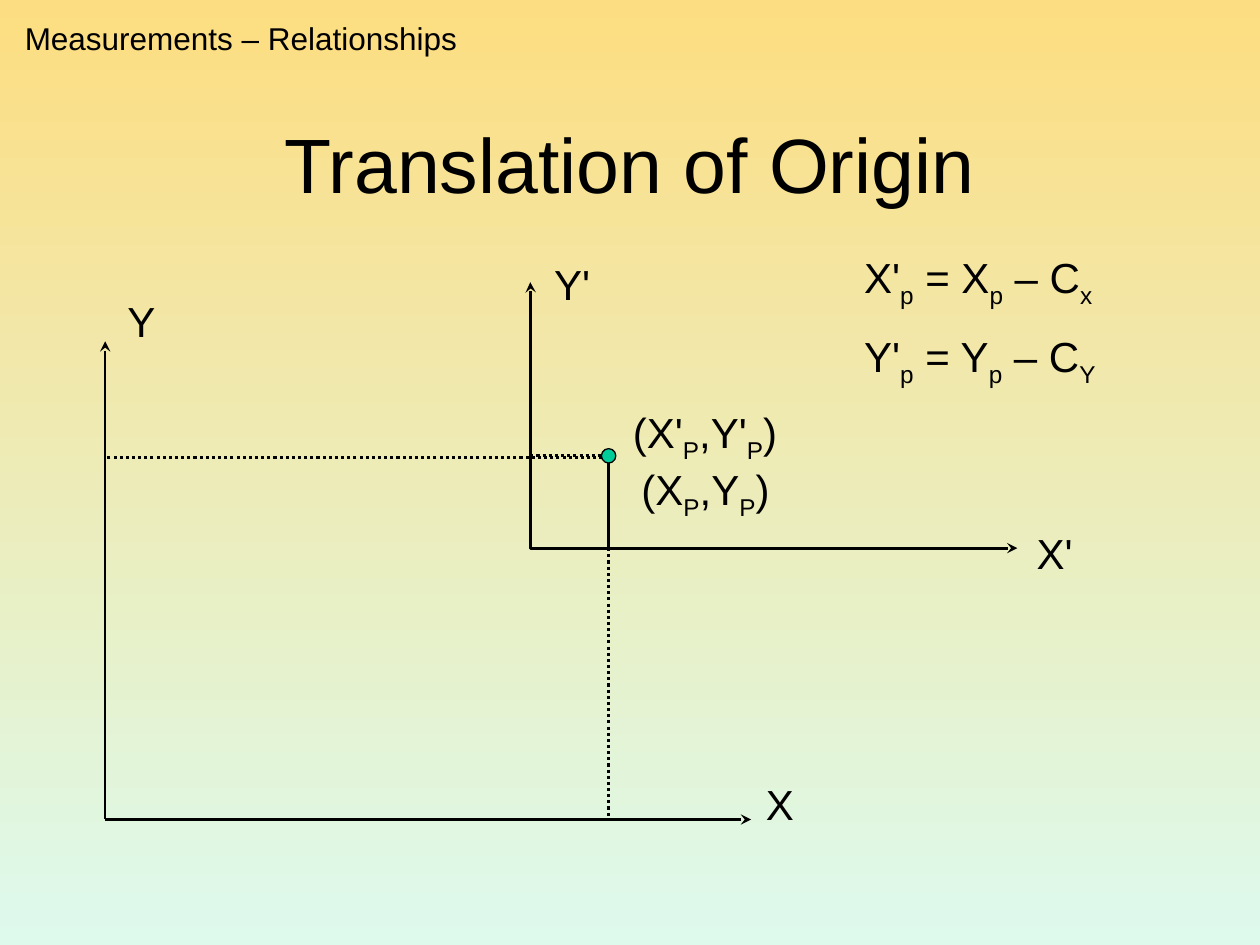
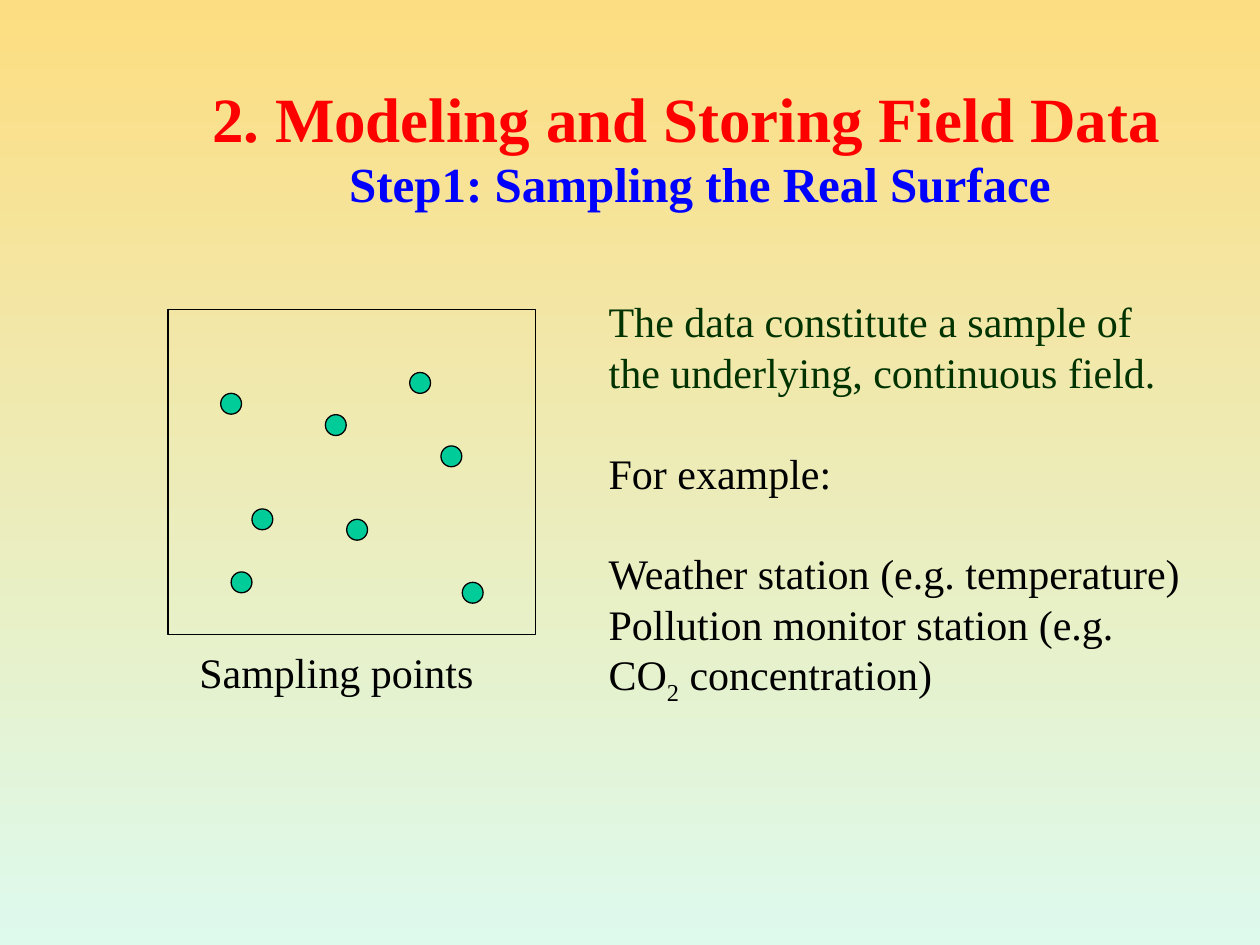
from lxml import etree
from pptx import Presentation
from pptx.dml.color import RGBColor
from pptx.enum.dml import MSO_LINE
from pptx.enum.shapes import MSO_CONNECTOR, MSO_SHAPE
from pptx.enum.text import MSO_ANCHOR, MSO_AUTO_SIZE, PP_ALIGN
from pptx.oxml.ns import qn
from pptx.util import Cm, Pt

STRAIGHT, ELBOW = MSO_CONNECTOR.STRAIGHT, MSO_CONNECTOR.ELBOW
OVAL, RECTANGLE = MSO_SHAPE.OVAL, MSO_SHAPE.RECTANGLE
DOTTED = MSO_LINE.ROUND_DOT
MIDDLE, TOP = MSO_ANCHOR.MIDDLE, MSO_ANCHOR.TOP
LEFT, CENTER = PP_ALIGN.LEFT, PP_ALIGN.CENTER
NO_FIT = MSO_AUTO_SIZE.NONE
SANS, SERIF = "Arial", "Times New Roman"
BLACK, RED, BLUE, DARK_GREEN, TEAL = "000000", "FF0000", "0000FF", "003300", "00CC99"
SKY_TOP, SKY_BOTTOM = "FDDD81", "DDFAED"
TITLE_ONLY = 5

ORIGIN, Y_END, X_END = (2.12, 16.52), (2.12, 6.88), (15.14, 16.52)
NEW_ORIGIN, NEW_Y_END, NEW_X_END = (10.69, 11.05), (10.69, 5.69), (20.51, 11.05)
POINT, POINT_SIZE = (12.27, 9.19), 0.29
GUIDES = [
    ((POINT[0], 9.22), (ORIGIN[0], 9.22)),
    (POINT, (POINT[0], ORIGIN[1])),
    ((NEW_ORIGIN[0], POINT[1]), POINT),
    ((POINT[0], NEW_ORIGIN[1]), (POINT[0], 9.27)),
]
AXIS_LABELS = [
    ("(X_P,Y_P)", (12.68, 9.22, 3.5, 1.42)),
    ("(X'_P,Y'_P)", (12.51, 8.08, 3.8, 1.42)),
    ("Y'", (10.92, 5.08, 1.6, 1.27)),
    ("X'", (20.65, 10.5, 1.6, 1.27)),
    ("X", (15.19, 15.57, 1.4, 1.27)),
    ("Y", (2.32, 5.83, 1.4, 1.27)),
    ("X'_p = X_p – C_x", (17.17, 4.95, 5.5, 1.42)),
    ("Y'_p = Y_p – C_Y", (17.17, 6.54, 5.5, 1.42)),
]

FIELD, SAMPLE_SIZE = (3.39, 6.24, 7.41, 6.55), 0.42
SAMPLES = [
    (4.45, 7.93), (5.08, 10.26), (8.89, 8.99), (8.26, 7.51),
    (4.66, 11.53), (6.56, 8.36), (6.99, 10.47), (9.32, 11.74),
]
EXPLANATION = [
    ("The data constitute a sample of the underlying, continuous field.", DARK_GREEN, 0),
    ("For example:", BLACK, 28.8),
    ("Weather station (e.g. temperature)", BLACK, 28.8),
    ("Pollution monitor station (e.g. CO_2 concentration)", BLACK, 0),
]


def rgb(value):
    return RGBColor.from_string(value)


def place(box, area):
    box.left, box.top, box.width, box.height = map(Cm, area)


def add_span(para, text, font, size, color, bold, subscript=False):
    span = para.add_run()
    span.text = text
    span.font.name, span.font.size, span.font.bold = font, Pt(size), bold
    span.font.color.rgb = rgb(color)
    if subscript:
        span.font._element.set("baseline", "-25000")


def write(box, text, font=SANS, size=24, color=BLACK, bold=False,
          align=LEFT, anchor=TOP):
    frame = box.text_frame
    frame.word_wrap, frame.auto_size, frame.vertical_anchor = True, NO_FIT, anchor
    paragraphs = [(text, color, 0)] if isinstance(text, str) else text
    for index, (words, ink, gap) in enumerate(paragraphs):
        para = frame.add_paragraph() if index else frame.paragraphs[0]
        para.alignment, para.space_before = align, Pt(gap)
        normal, *marked = words.split("_")
        add_span(para, normal, font, size, ink, bold)
        for part in marked:
            add_span(para, part[0], font, size, ink, bold, subscript=True)
            if part[1:]:
                add_span(para, part[1:], font, size, ink, bold)


def add_text(page, text, area, **style):
    box = page.shapes.add_textbox(*map(Cm, area))
    write(box, text, **style)


def add_page(deck, title, area, **style):
    page = deck.slides.add_slide(deck.slide_layouts[TITLE_ONLY])
    place(page.shapes.title, area)
    write(page.shapes.title, title, align=CENTER, anchor=MIDDLE, **style)
    return page


def add_line(page, start, end, kind=STRAIGHT, width=1.75, dash=None, arrows=()):
    line = page.shapes.add_connector(kind, *map(Cm, start + end))
    line.line.color.rgb, line.line.width = rgb(BLACK), Pt(width)
    if dash:
        line.line.dash_style = dash
    outline = line.line._get_or_add_ln()
    for arrow in arrows:
        etree.SubElement(outline, qn("a:" + arrow), type="stealth")
    etree.SubElement(line._element.spPr, qn("a:effectLst"))
    return line


def add_shape(page, kind, area, fill=None):
    shape = page.shapes.add_shape(kind, *map(Cm, area))
    shape.shadow.inherit = False
    shape.line.color.rgb, shape.line.width = rgb(BLACK), Pt(0.75)
    if fill:
        shape.fill.solid()
        shape.fill.fore_color.rgb = rgb(fill)
    else:
        shape.fill.background()


def paint_background(deck):
    fill = deck.slide_master.background.fill
    fill.gradient()
    fill.gradient_angle = 270
    for stop, color in zip(fill.gradient_stops, (SKY_TOP, SKY_BOTTOM)):
        stop.color.rgb = rgb(color)


def build_translation(deck):
    page = add_page(deck, "Translation of Origin", (1.9, 1.69, 21.6, 3.18), size=44)
    for end in (Y_END, X_END):
        add_line(page, end, ORIGIN, width=1.5, arrows=["headEnd"])
    for start, end in GUIDES:
        add_line(page, start, end, dash=DOTTED)
    axes = add_line(page, NEW_Y_END, NEW_X_END, kind=ELBOW, arrows=["headEnd", "tailEnd"])
    bend = axes._element.spPr.prstGeom.get_or_add_avLst()
    etree.SubElement(bend, qn("a:gd"), name="adj1", fmla="val 100")
    corner = [centre - POINT_SIZE / 2 for centre in POINT]
    add_shape(page, OVAL, (*corner, POINT_SIZE, POINT_SIZE), fill=TEAL)
    for label, area in AXIS_LABELS:
        add_text(page, label, area)
    add_text(page, "Measurements – Relationships", (0.25, 0.25, 9.6, 1.02), size=18)


def build_sampling(deck):
    page = add_page(deck, "2. Modeling and Storing Field Data", (3.82, 1.47, 20.03, 1.78),
                    font=SERIF, size=36, color=RED, bold=True)
    add_text(page, "Step1: Sampling the Real Surface", (6.79, 2.97, 15.2, 1.45),
             font=SERIF, size=28, color=BLUE, bold=True)
    add_shape(page, RECTANGLE, FIELD)
    for corner in SAMPLES:
        add_shape(page, OVAL, (*corner, SAMPLE_SIZE, SAMPLE_SIZE), fill=TEAL)
    add_text(page, "Sampling points", (3.77, 12.9, 6.5, 1.27), font=SERIF)
    add_text(page, EXPLANATION, (12.02, 5.84, 12.12, 9.55), font=SERIF)


def main():
    deck = Presentation()
    deck.slide_width, deck.slide_height = Cm(25.4), Cm(19.05)
    paint_background(deck)
    build_translation(deck)
    build_sampling(deck)
    deck.save("out.pptx")


if __name__ == "__main__":
    main()
